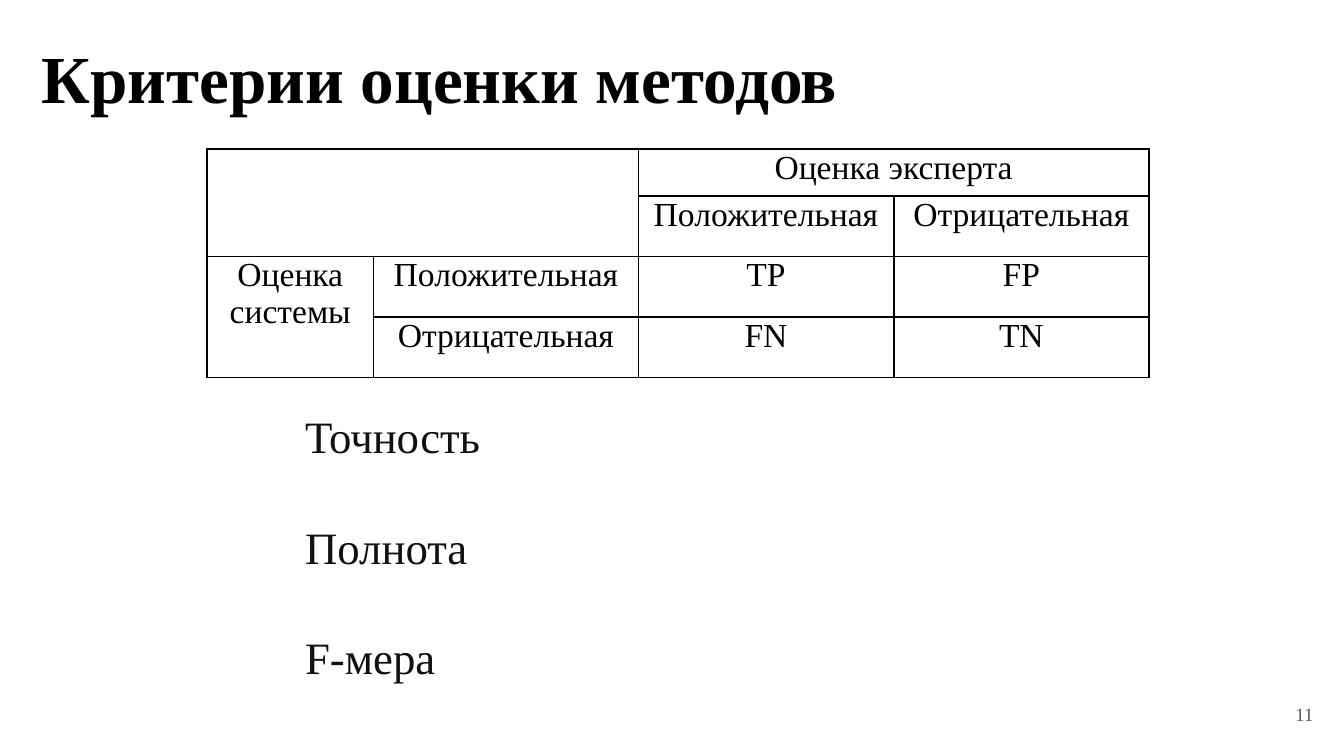
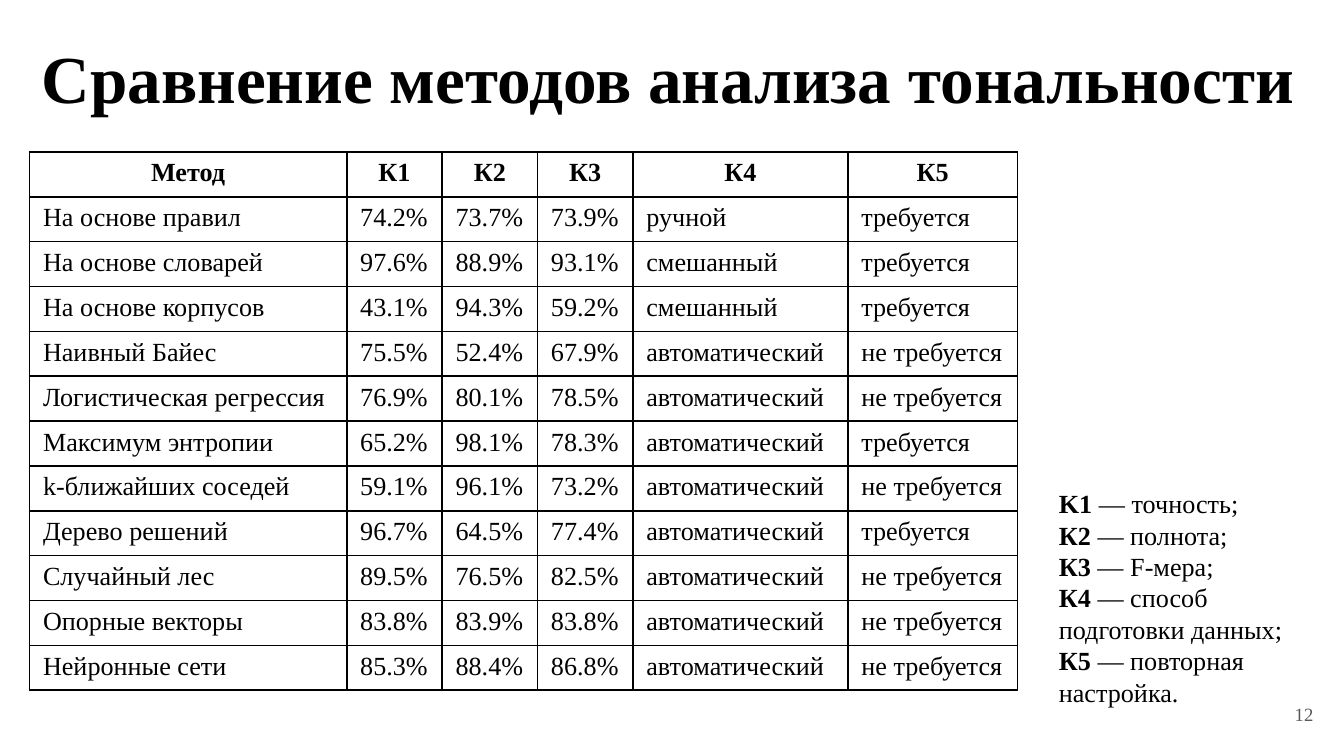
from lxml import etree
from pptx import Presentation
from pptx.dml.color import RGBColor
from pptx.enum.text import MSO_ANCHOR, MSO_AUTO_SIZE, PP_ALIGN
from pptx.oxml.ns import qn
from pptx.util import Inches, Pt

# Shared style: a grid of 100 columns by 56.25 rows of square cells
FONT = "Times New Roman"
COLORS = {"ink": "000000", "term": "111111", "number": "595959", "paper": "FFFFFF"}
GRID_COLUMNS, GRID_ROWS = 100, 56.25
TERM_INSETS = (0.9, 0.6, 0.9, 0.4)
TITLE_INSETS = (0.9, 0.8, 0.9, 0.4)
NUMBER_INSETS = (1, 1, 1, 1)
CELL_INSETS = (1, 0.5, 1, 0.5)

# Slide content
EXPERT_MATRIX = [
    ["", "", "Оценка эксперта", ""],
    ["", "", "Положительная", "Отрицательная"],
    ["Оценка системы", "Положительная", "TP", "FP"],
    ["", "Отрицательная", "FN", "TN"],
]
MATRIX_MERGES = [((0, 0), (1, 1)), ((0, 2), (0, 3)), ((2, 0), (3, 0))]
MEASURES = [("Точность", 17.4), ("Полнота", 15), ("F-мера", 15)]

RULES, MIXED, AUTO = "ручной", "смешанный", "автоматический"
NEEDED, NOT_NEEDED = "требуется", "не требуется"
METHODS = [
    ["Метод", "К1", "К2", "К3", "К4", "К5"],
    ["На основе правил", "74.2%", "73.7%", "73.9%", RULES, NEEDED],
    ["На основе словарей", "97.6%", "88.9%", "93.1%", MIXED, NEEDED],
    ["На основе корпусов", "43.1%", "94.3%", "59.2%", MIXED, NEEDED],
    ["Наивный Байес", "75.5%", "52.4%", "67.9%", AUTO, NOT_NEEDED],
    ["Логистическая регрессия", "76.9%", "80.1%", "78.5%", AUTO, NOT_NEEDED],
    ["Максимум энтропии", "65.2%", "98.1%", "78.3%", AUTO, NEEDED],
    ["k-ближайших соседей", "59.1%", "96.1%", "73.2%", AUTO, NOT_NEEDED],
    ["Дерево решений", "96.7%", "64.5%", "77.4%", AUTO, NEEDED],
    ["Случайный лес", "89.5%", "76.5%", "82.5%", AUTO, NOT_NEEDED],
    ["Опорные векторы", "83.8%", "83.9%", "83.8%", AUTO, NOT_NEEDED],
    ["Нейронные сети", "85.3%", "88.4%", "86.8%", AUTO, NOT_NEEDED],
]
CRITERIA = [
    ("K1", " — точность;"),
    ("К2 ", "— полнота;"),
    ("К3", " — F-мера;"),
    ("К4 ", "— способ подготовки данных;"),
    ("К5 ", "— повторная настройка."),
]


def grid(cells):
    return Inches(cells * 0.1)


def add_run(paragraph, text, size, color="ink", bold=False):
    run = paragraph.add_run()
    run.text = text
    run.font.name = FONT
    run.font.size = Pt(size)
    run.font.bold = bold
    run.font.color.rgb = RGBColor.from_string(COLORS[color])


def set_insets(holder, insets):
    (holder.margin_left, holder.margin_top,
     holder.margin_right, holder.margin_bottom) = map(grid, insets)


def add_frame(slide, area, insets):
    frame = slide.shapes.add_textbox(*map(grid, area)).text_frame
    frame.word_wrap = True
    set_insets(frame, insets)
    return frame


def add_line(slide, area, text, size, insets, color="ink", bold=False,
             align=PP_ALIGN.LEFT, spacing=None):
    frame = add_frame(slide, area, insets)
    line = frame.paragraphs[0]
    line.alignment = align
    line.line_spacing = spacing
    add_run(line, text, size, color, bold)
    return frame


def add_titled_slide(deck, title, number):
    slide = deck.slides.add_slide(deck.slide_layouts[6])
    slide.background.fill.solid()
    slide.background.fill.fore_color.rgb = RGBColor.from_string(COLORS["paper"])
    add_line(slide, (2.2, 2.4, 96.4, 6.5), title, 36, TITLE_INSETS,
             bold=True, spacing=0.93)
    footer = add_line(slide, (92.7, 51, 6, 4.3), str(number), 10, NUMBER_INSETS,
                      "number", align=PP_ALIGN.RIGHT)
    footer.vertical_anchor = MSO_ANCHOR.MIDDLE
    return slide


def add_borders(cell):
    properties = cell._tc.get_or_add_tcPr()
    for position, side in enumerate(("a:lnL", "a:lnR", "a:lnT", "a:lnB")):
        border = etree.Element(qn(side), w=str(Pt(1)))
        fill = etree.SubElement(border, qn("a:solidFill"))
        etree.SubElement(fill, qn("a:srgbClr"), val=COLORS["ink"])
        properties.insert(position, border)


def add_ruled_table(slide, corner, widths, heights, rows, size, insets,
                    centred_rows, bold_rows=0, merges=()):
    area = (*corner, sum(widths), sum(heights))
    table = slide.shapes.add_table(len(rows), len(widths), *map(grid, area)).table
    table.first_row = table.horz_banding = False
    for column, width in zip(table.columns, widths):
        column.width = grid(width)
    for row, height in zip(table.rows, heights):
        row.height = grid(height)
    for first, last in merges:
        table.cell(*first).merge(table.cell(*last))
    for r, texts in enumerate(rows):
        for c, text in enumerate(texts):
            cell = table.cell(r, c)
            cell.fill.background()
            add_borders(cell)
            set_insets(cell, insets)
            if text:
                line = cell.text_frame.paragraphs[0]
                line.alignment = PP_ALIGN.CENTER if r < centred_rows else PP_ALIGN.LEFT
                add_run(line, text, size, bold=r < bold_rows)


def add_legend(slide, area, entries):
    frame = add_frame(slide, area, CELL_INSETS)
    frame.auto_size = MSO_AUTO_SIZE.SHAPE_TO_FIT_TEXT
    for i, (code, meaning) in enumerate(entries):
        line = frame.add_paragraph() if i else frame.paragraphs[0]
        add_run(line, code, 14, bold=True)
        add_run(line, meaning, 14)


def main():
    deck = Presentation()
    deck.slide_width, deck.slide_height = grid(GRID_COLUMNS), grid(GRID_ROWS)

    # Evaluation criteria: confusion matrix and three measures
    criteria = add_titled_slide(deck, "Критерии оценки методов", 11)
    add_ruled_table(criteria, (15.4, 11.1), [12.4, 19.7, 19, 19], [3.5] + [4.5] * 3,
                    EXPERT_MATRIX, 18, (1, 0, 1, 0),
                    centred_rows=len(EXPERT_MATRIX), merges=MATRIX_MERGES)
    for i, (measure, width) in enumerate(MEASURES):
        add_line(criteria, (21.8, 30.2 + 8.2 * i, width, 4.3), measure, 24,
                 TERM_INSETS, "term", align=PP_ALIGN.JUSTIFY, spacing=0.93)

    # Comparison of methods: results and key to the criteria
    comparison = add_titled_slide(deck, "Сравнение методов анализа тональности", 12)
    add_ruled_table(comparison, (2.2, 11.3), [23.6] + [7.1] * 3 + [16, 12.6],
                    [3.2] + [3.33] * (len(METHODS) - 1), METHODS, 14, CELL_INSETS,
                    centred_rows=1, bold_rows=1)
    add_legend(comparison, (77.8, 35.8, 20.8, 17.3), CRITERIA)

    deck.save("out.pptx")


if __name__ == "__main__":
    main()
